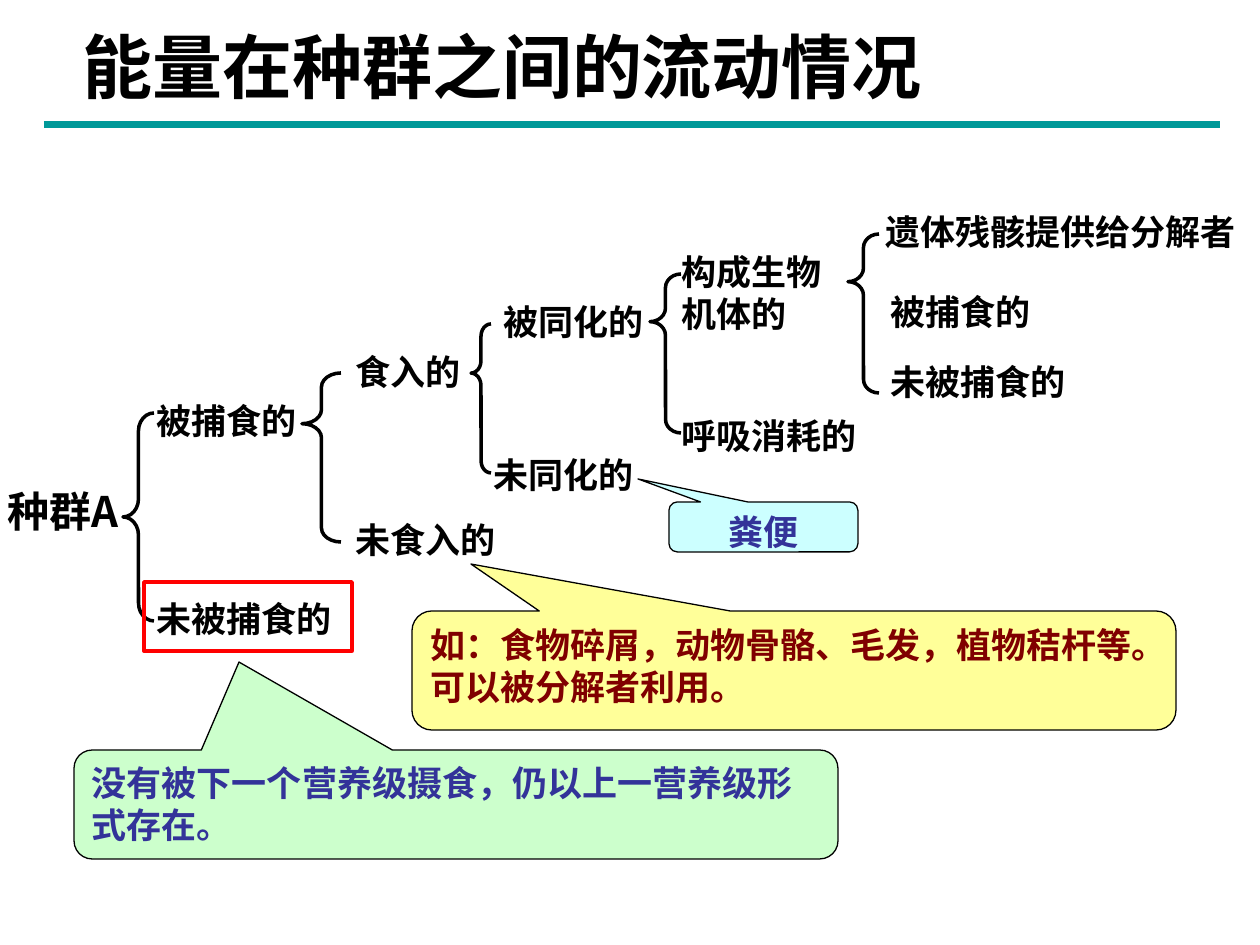
from lxml.etree import SubElement
from pptx import Presentation
from pptx.dml.color import RGBColor
from pptx.enum.shapes import MSO_CONNECTOR as Connector, MSO_SHAPE as Shape
from pptx.enum.text import MSO_ANCHOR as Anchor, PP_ALIGN as Align
from pptx.oxml.ns import qn
from pptx.util import Emu, Inches, Pt

SCALE = Inches(1) // 126
FONT = "Noto Sans CJK SC"
BLACK = RGBColor(0x00, 0x00, 0x00)
TEAL = RGBColor(0x00, 0x99, 0x99)
RED = RGBColor(0xFF, 0x00, 0x00)
MAROON = RGBColor(0x80, 0x00, 0x00)
INDIGO = RGBColor(0x33, 0x33, 0x99)
GREEN = RGBColor(0xCC, 0xFF, 0xCC)
YELLOW = RGBColor(0xFF, 0xFF, 0x99)
CYAN = RGBColor(0xCC, 0xFF, 0xFF)

TITLE = "能量在种群之间的流动情况"
LABELS = [
    ("种群A", 24, (-5, 479, 189, 63)),
    ("被捕食的", 20, (144, 393, 169, 54)),
    ("未被捕食的", 20, (144, 591, 228, 54)),
    ("食入的", 20, (343, 344, 169, 54)),
    ("未食入的", 20, (343, 512, 169, 54)),
    ("被同化的", 20, (491, 294, 169, 54)),
    ("未同化的", 20, (481, 447, 169, 54)),
    ("构成生物机体的", 20, (669, 244, 169, 97)),
    ("呼吸消耗的", 20, (669, 408, 287, 54)),
    ("遗体残骸提供给分解者", 20, (873, 204, 387, 54)),
    ("被捕食的", 20, (878, 284, 169, 54)),
    ("未被捕食的", 20, (878, 354, 228, 54)),
]
BRACES = [
    ((123, 413, 31, 208), (0.58, 0.5)),
    ((302, 373, 39, 169), (0.36, 0.3)),
    ((471, 324, 20, 149), (0.62, 0.33)),
    ((650, 274, 31, 159), (0.44, 0.3)),
    ((848, 234, 31, 159), (0.44, 0.3)),
]
CALLOUTS = [
    ("没有被下一个营养级摄食，仍以上一营养级形式存在。", (74, 750, 764, 109),
     (239, 662), GREEN, INDIGO, Align.LEFT),
    ("如：食物碎屑，动物骨骼、毛发，植物秸杆等。可以被分解者利用。", (412, 611, 764, 119),
     (471, 564), YELLOW, MAROON, Align.LEFT),
    ("粪便", (669, 502, 189, 50), (638, 479), CYAN, INDIGO, Align.CENTER),
]


def emu(*lengths):
    return [Emu(length * SCALE) for length in lengths]


def write(frame, text, size, color, align=Align.LEFT, spacing=None):
    frame.word_wrap = True
    paragraph = frame.paragraphs[0]
    paragraph.alignment = align
    paragraph.line_spacing = spacing or Pt(size * 1.2)
    run = paragraph.add_run()
    run.text = text
    font = run.font
    font.name, font.size, font.bold = FONT, Pt(size), True
    font.color.rgb = color
    SubElement(font._element, qn("a:ea")).set("typeface", FONT)
    return paragraph


def add_outline(slide, kind, box, color, width, adjustments=(), fill=None):
    shape = slide.shapes.add_shape(kind, *emu(*box))
    shape.shadow.inherit = False
    for index, value in enumerate(adjustments):
        shape.adjustments[index] = value
    if fill is None:
        shape.fill.background()
    else:
        shape.fill.solid()
        shape.fill.fore_color.rgb = fill
    shape.line.color.rgb = color
    shape.line.width = Pt(width)
    return shape


def main():
    presentation = Presentation()
    presentation.slide_width, presentation.slide_height = emu(1260, 945)
    slide = presentation.slides.add_slide(presentation.slide_layouts[5])

    rule = slide.shapes.add_connector(Connector.STRAIGHT, *emu(44, 125, 1220, 125))
    rule.line.color.rgb = TEAL
    rule.line.width = Pt(4)
    SubElement(rule._element.spPr, qn("a:effectLst"))

    title = slide.shapes.title
    title.left, title.top, title.width, title.height = emu(62, 26, 1176, 90)
    title.text_frame.vertical_anchor = Anchor.MIDDLE
    paragraph = write(title.text_frame, TITLE, 40, BLACK, spacing=0.9)
    paragraph._p.get_or_add_pPr().set("marL", str(8 * SCALE))

    for text, size, box in LABELS:
        label = slide.shapes.add_textbox(*emu(*box))
        write(label.text_frame, text, size, BLACK)

    for box, adjustments in BRACES:
        add_outline(slide, Shape.LEFT_BRACE, box, BLACK, 2, adjustments)

    for text, box, (tip_x, tip_y), fill, color, align in CALLOUTS:
        left, top, width, height = box
        tip = ((tip_x - left) / width - 0.5, (tip_y - top) / height - 0.5)
        callout = add_outline(slide, Shape.ROUNDED_RECTANGULAR_CALLOUT, box,
                              BLACK, 0.75, tip, fill)
        callout.text_frame.vertical_anchor = Anchor.TOP
        write(callout.text_frame, text, 20, color, align)

    add_outline(slide, Shape.RECTANGLE, (144, 582, 208, 69), RED, 2)
    presentation.save("out.pptx")


if __name__ == "__main__":
    main()
